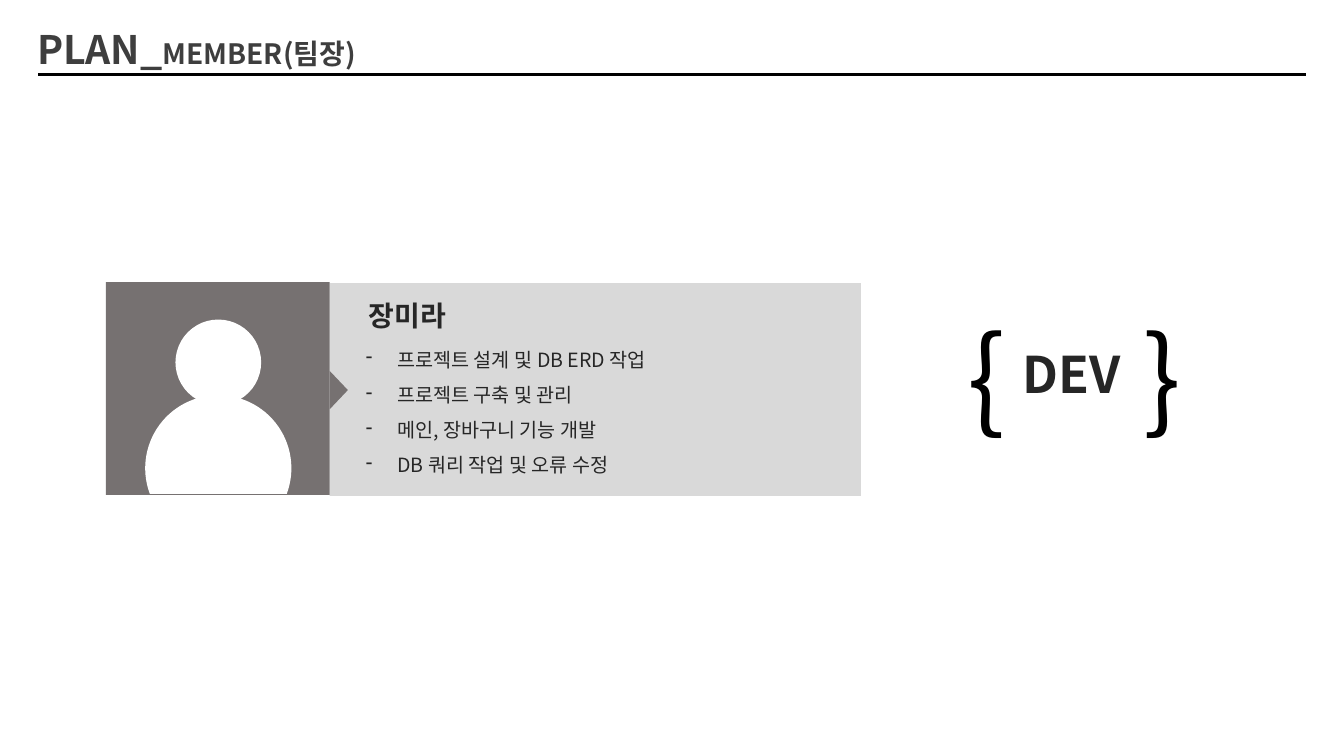
from lxml import etree
from pptx import Presentation
from pptx.dml.color import RGBColor
from pptx.enum.shapes import MSO_CONNECTOR, MSO_SHAPE
from pptx.enum.text import MSO_ANCHOR, MSO_AUTO_SIZE as FIT, PP_ALIGN
from pptx.oxml.ns import qn
from pptx.util import Inches, Pt

FONT = "Noto Sans CJK KR"
INK, GRAY = "262626", "767171"
OUTLINE = "3B3838"


def write(paragraph, text, size, color=INK, bold=False, outline=False):
    """Add a run in the slide's font, with an optional faint outline."""
    run = paragraph.add_run()
    run.text = text
    font = run.font
    font.size, font.bold = Pt(size), bold
    font.color.rgb = RGBColor.from_string(color)
    font.name = FONT
    props = run._r.get_or_add_rPr()
    etree.SubElement(props, qn("a:ea"), typeface=FONT)
    if outline:
        line = etree.Element(qn("a:ln"), w=str(Pt(0.75)))
        fill = etree.SubElement(line, qn("a:solidFill"))
        tint = etree.SubElement(fill, qn("a:srgbClr"), val=OUTLINE)
        etree.SubElement(tint, qn("a:alpha"), val="15000")
        props.insert(0, line)


def add_filled(kind, left, top, width, height, color, rotation=0):
    shape = slide.shapes.add_shape(kind, Inches(left), Inches(top), Inches(width), Inches(height))
    shape.shadow.inherit = False
    shape.fill.solid()
    shape.fill.fore_color.rgb = RGBColor.from_string(color)
    shape.line.fill.background()
    shape.rotation = rotation
    return shape


prs = Presentation()
prs.slide_width, prs.slide_height = Inches(13.33), Inches(7.5)
slide = prs.slides.add_slide(prs.slide_layouts[1])
title, duties = slide.placeholders

# Heading and its rule
title.left, title.top, title.width, title.height = map(Inches, (0.27, 0.14, 9.75, 0.63))
heading = title.text_frame
heading.auto_size = FIT.NONE
heading.vertical_anchor = MSO_ANCHOR.BOTTOM
heading.paragraphs[0].alignment = PP_ALIGN.LEFT
heading.paragraphs[0].line_spacing = 0.9
write(heading.paragraphs[0], "PLAN_", 28, color="3E3E3E", bold=True)
write(heading.paragraphs[0], "MEMBER(팀장)", 20, color="3E3E3E", bold=True)

rule = slide.shapes.add_connector(
    MSO_CONNECTOR.STRAIGHT, Inches(12.95), Inches(0.74), Inches(0.38), Inches(0.74))
rule.line.color.rgb = RGBColor.from_string("000000")
rule.line.width = Pt(2.75)
etree.SubElement(rule._element.spPr, qn("a:effectLst"))

# Member card, placed behind the list of duties
card = add_filled(MSO_SHAPE.RECTANGLE, 3.27, 2.81, 5.27, 2.11, "D9D9D9")
duties.element.addprevious(card.element)

duties.left, duties.top, duties.width, duties.height = map(Inches, (3.53, 3.28, 4.75, 1.47))
duties.text_frame.auto_size = FIT.SHAPE_TO_FIT_TEXT
DUTIES = ["프로젝트 설계 및 DB ERD 작업", "프로젝트 구축 및 관리",
          "메인, 장바구니 기능 개발", "DB 쿼리 작업 및 오류 수정"]
for index, duty in enumerate(DUTIES):
    paragraph = duties.text_frame.add_paragraph() if index else duties.text_frame.paragraphs[0]
    paragraph.line_spacing = 1.5
    paragraph.space_before = Pt(0)
    layout = paragraph._p.get_or_add_pPr()
    layout.set("marL", str(Inches(0.31)))
    layout.set("indent", str(-Inches(0.31)))
    etree.SubElement(layout, qn("a:buFontTx"))
    etree.SubElement(layout, qn("a:buChar"), char="-")
    write(paragraph, duty, 14, outline=True)

# Member name and role in braces
LABELS = [
    ("장미라", (3.56, 2.91, 1.04, 0.44), dict(size=20, bold=True, outline=True)),
    ("DEV", (10.04, 3.35, 1.19, 0.71), dict(size=36, bold=True, outline=True)),
    ("{", (9.5, 3, 0.54, 1.45), dict(size=80, color="000000")),
    ("}", (11.24, 3, 0.54, 1.45), dict(size=80, color="000000")),
]
for text, place, style in LABELS:
    label = slide.shapes.add_textbox(*map(Inches, place)).text_frame
    label.word_wrap = False
    label.auto_size = FIT.SHAPE_TO_FIT_TEXT
    write(label.paragraphs[0], text, **style)

# Portrait tile with a pointer towards the card
add_filled(MSO_SHAPE.RECTANGLE, 1.05, 2.8, 2.22, 2.11, GRAY)
add_filled(MSO_SHAPE.ISOSCELES_TRIANGLE, 3.17, 3.78, 0.38, 0.18, GRAY, rotation=90)
TURN = 111.5
shoulders = add_filled(MSO_SHAPE.CHORD, 1.44, 3.92, 1.45, 1.45, "FFFFFF", rotation=TURN)
# One degree is 60000 units, and an adjustment of 1 is 100000 units
for index, angle in enumerate((159.4, 380.6)):
    shoulders.adjustments[index] = (angle - TURN) * 0.6
add_filled(MSO_SHAPE.OVAL, 1.74, 3.17, 0.85, 0.85, "FFFFFF")

prs.save("out.pptx")
